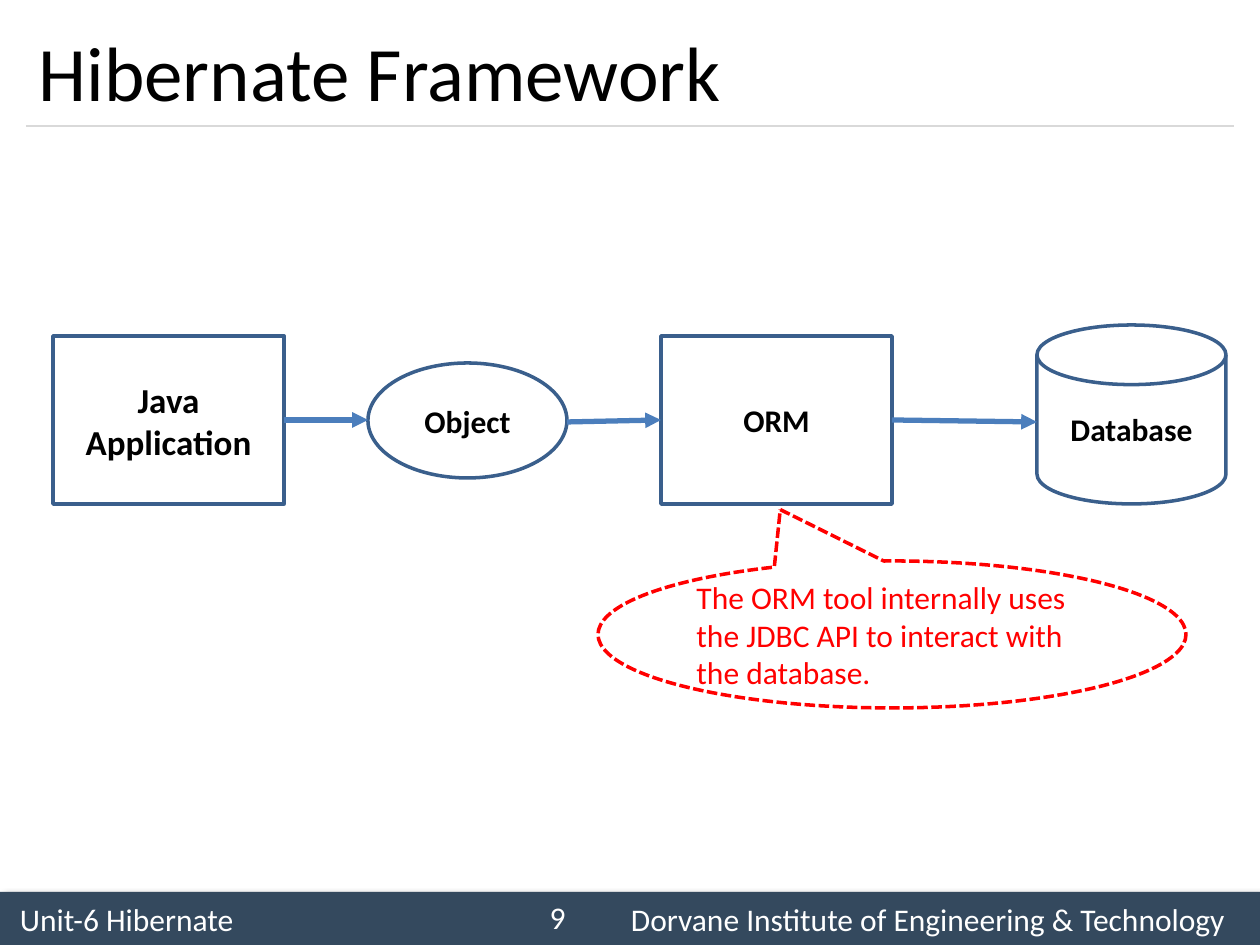
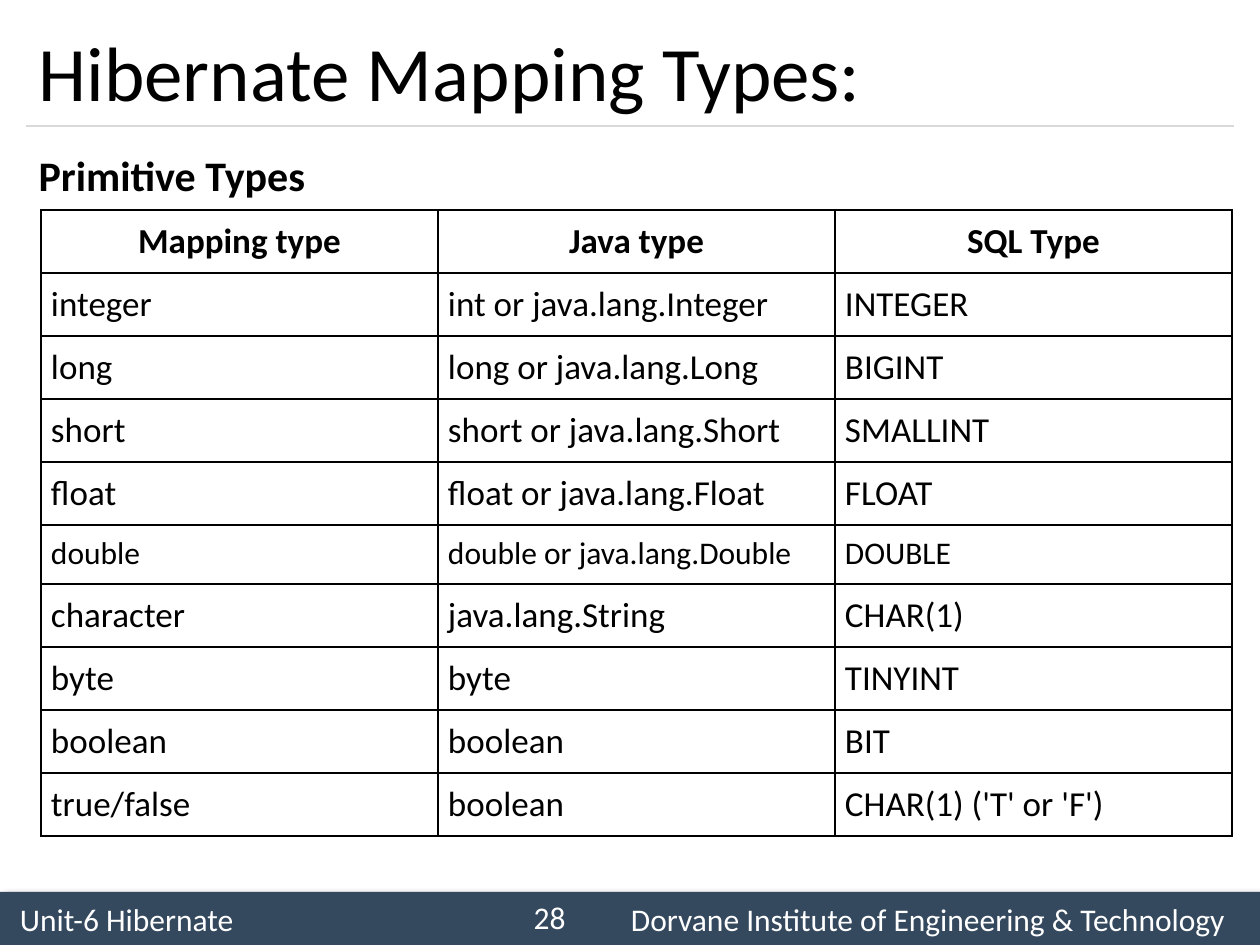
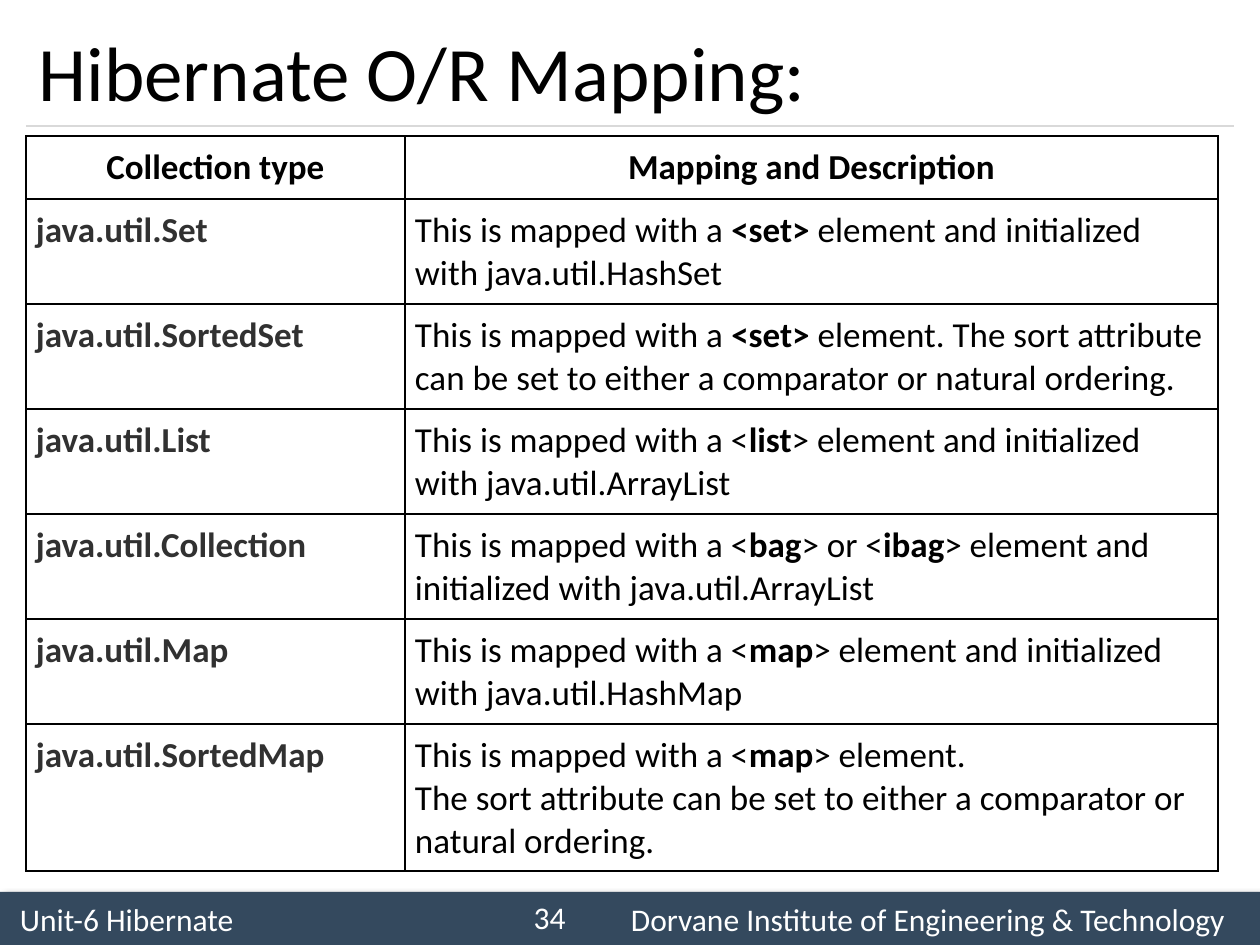
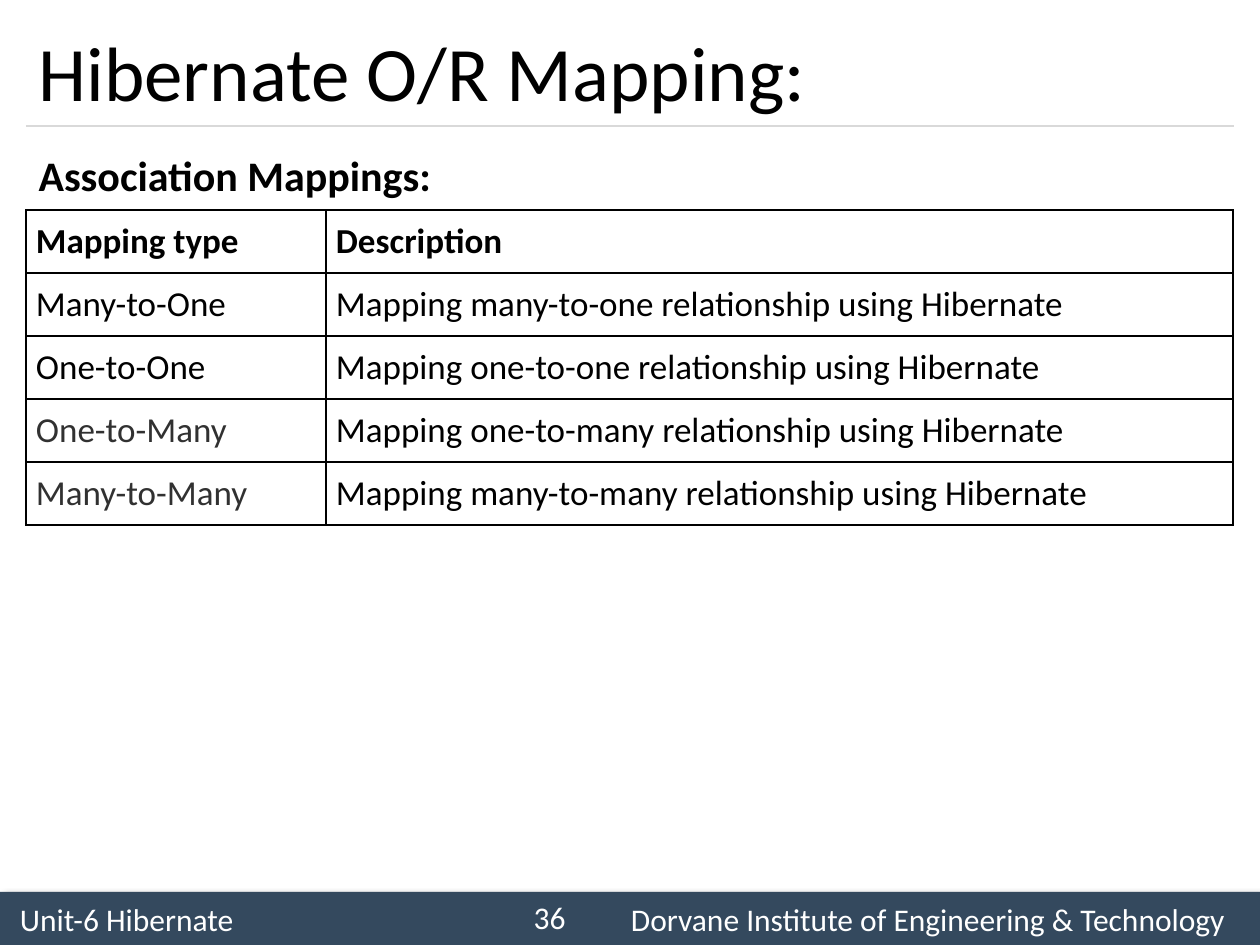
from lxml import etree
from pptx import Presentation
from pptx.dml.color import RGBColor
from pptx.enum.dml import MSO_LINE
from pptx.enum.shapes import MSO_CONNECTOR, MSO_SHAPE
from pptx.enum.text import MSO_ANCHOR, MSO_AUTO_SIZE, PP_ALIGN
from pptx.oxml.ns import qn
from pptx.util import Emu, Pt

LEFT, CENTER, RIGHT, JUSTIFY = (
    PP_ALIGN.LEFT, PP_ALIGN.CENTER, PP_ALIGN.RIGHT, PP_ALIGN.JUSTIFY)
MIDDLE, TOP = MSO_ANCHOR.MIDDLE, MSO_ANCHOR.TOP
NO_AUTOSIZE = MSO_AUTO_SIZE.NONE
STRAIGHT = MSO_CONNECTOR.STRAIGHT
DASHED = MSO_LINE.SQUARE_DOT
RECTANGLE = MSO_SHAPE.RECTANGLE
ELLIPSE = MSO_SHAPE.FLOWCHART_CONNECTOR
DISK = MSO_SHAPE.FLOWCHART_MAGNETIC_DISK
CALLOUT = MSO_SHAPE.OVAL_CALLOUT
TITLE_AND_BODY, TITLE_ONLY = 1, 5

PIXELS_PER_INCH = 126
FONT = "Calibri"
BLACK, WHITE, RED = "000000", "FFFFFF", "FF0000"
DARK_GRAY, RULE_GRAY, BAND = "313131", "D9D9D9", "34495E"
OUTLINE, ARROW = "3A5F8C", "4B7EBC"
UNIT, INSTITUTE = "Unit-6 Hibernate", "Dorvane Institute of Engineering & Technology"
CELL_INSET = 10
LINE_HEIGHT = {20: 42, 18: 38}


def px(length):
    """Turn picture pixels into EMU."""
    return Emu(round(length * 914400 / PIXELS_PER_INCH))


def color(value):
    """Turn a hex string into a colour."""
    return RGBColor.from_string(value)


def add_xml(parent, tag, **attributes):
    """Append a drawing element and return it."""
    return etree.SubElement(parent, qn(tag), attributes)


class Slides:
    """Holds the deck, its style and the current page."""

    def __init__(self):
        """Open an empty deck of the right size."""
        self.deck = Presentation()
        self.deck.slide_width, self.deck.slide_height = px(1260), px(945)
        self.page = None

    def start(self, title, number, layout=TITLE_ONLY):
        """Add a page with the footer band, rule, title and page number."""
        self.page = self.deck.slides.add_slide(self.deck.slide_layouts[layout])
        self.footer()
        self.line(26, 126, 1234, 126, RULE_GRAY, 0.75)
        self.placeholder(self.page.shapes.title, (26, 15, 1208, 111), title, 44)
        box = self.page.shapes.add_textbox(*map(px, (494, 892, 84, 50)))
        self.set_text(box.text_frame, str(number), 18, WHITE, align=RIGHT)

    def set_text(self, frame, text, size, ink=BLACK, bold=None, align=LEFT,
                 anchor=MIDDLE):
        """Fill a frame with one paragraph; ** marks enclose bold words."""
        frame.word_wrap = True
        frame.vertical_anchor = anchor
        para = frame.paragraphs[0]
        para.alignment = align
        font = para.font
        font.name, font.size, font.bold = FONT, Pt(size), bold
        font.color.rgb = color(ink)
        for index, part in enumerate(text.split("**")):
            span = para.add_run()
            span.text = part
            if index % 2:
                span.font.bold = True
        return para

    def placeholder(self, holder, area, text, size, **style):
        """Move a placeholder and fill in its text."""
        holder.left, holder.top, holder.width, holder.height = map(px, area)
        holder.text_frame.auto_size = NO_AUTOSIZE
        return self.set_text(holder.text_frame, text, size, **style)

    def heading(self, text):
        """Set the bold body heading without a bullet."""
        para = self.placeholder(self.page.placeholders[1], (26, 136, 1208, 735),
                                text, 24, bold=True, align=JUSTIFY, anchor=TOP)
        para.line_spacing, para.space_before = 1.14, Pt(4.8)
        properties = para._p.get_or_add_pPr()
        properties.set("marL", "0")
        properties.set("indent", "0")
        bullet = etree.Element(qn("a:buNone"))
        properties.find(qn("a:defRPr")).addprevious(bullet)

    def footer(self):
        """Draw the shadowed band with the unit and the institute."""
        band = self.page.shapes.add_shape(
            RECTANGLE, *map(px, (0, 892, 1260, 53)))
        band.fill.solid()
        band.fill.fore_color.rgb = color(BAND)
        band.line.fill.background()
        band.shadow.inherit = False
        shadow = add_xml(band._element.spPr.find(qn("a:effectLst")),
                         "a:outerShdw", blurRad=str(Pt(4)), dist=str(Pt(3)),
                         dir="2700000", algn="tl", rotWithShape="0")
        shade = add_xml(shadow, "a:srgbClr", val=BLACK)
        add_xml(shade, "a:alpha", val="40000")
        frame = band.text_frame
        frame.margin_left, frame.margin_right = px(20), 0
        para = self.set_text(frame, f"{UNIT}\t{INSTITUTE}", 18, WHITE)
        tabs = etree.Element(qn("a:tabLst"))
        add_xml(tabs, "a:tab", pos=str(px(611)), algn="l")
        para._p.pPr.find(qn("a:defRPr")).addprevious(tabs)

    def line(self, x1, y1, x2, y2, ink, width, arrow=False):
        """Draw a straight line, with an arrowhead at its end if asked."""
        line = self.page.shapes.add_connector(
            STRAIGHT, *map(px, (x1, y1, x2, y2)))
        line.line.color.rgb = color(ink)
        line.line.width = Pt(width)
        if arrow:
            add_xml(line._element.spPr.find(qn("a:ln")), "a:tailEnd",
                    type="triangle")
        add_xml(line._element.spPr, "a:effectLst")

    def outline(self, kind, area, text, size=18, ink=BLACK, edge=OUTLINE,
                bold=True, align=CENTER):
        """Draw an unfilled shape with text and return it."""
        shape = self.page.shapes.add_shape(kind, *map(px, area))
        shape.fill.background()
        shape.line.color.rgb = color(edge)
        shape.line.width = Pt(2)
        shape.shadow.inherit = False
        self.set_text(shape.text_frame, text, size, ink, bold, align)
        return shape

    def callout(self, area, text, tip):
        """Draw a dashed red callout with its tip at the given ratios."""
        shape = self.outline(CALLOUT, area, text, ink=RED, edge=RED,
                             bold=None, align=LEFT)
        shape.line.dash_style = DASHED
        shape.adjustments[0], shape.adjustments[1] = tip

    def strip(self, left, top, widths, texts, size=20, lines=1, bold=None,
              align=LEFT, first_ink=BLACK, first_bold=None):
        """Draw a one-row table and return the top of the next one."""
        height = 2 * CELL_INSET + 1 + lines * LINE_HEIGHT[size]
        table = self.page.shapes.add_table(
            1, len(widths), px(left), px(top), px(sum(widths)), px(height)).table
        table.first_row = table.horz_banding = False
        for index, (width, text) in enumerate(zip(widths, texts)):
            table.columns[index].width = px(width)
            first = index == 0
            self.cell(table.cell(0, index), text, size,
                      first_ink if first else BLACK,
                      first_bold if first and first_bold else bold, align)
        return top + height

    def cell(self, cell, text, size, ink, bold, align):
        """Border, pad and fill in one table cell."""
        cell.margin_left = cell.margin_right = px(CELL_INSET)
        cell.margin_top = cell.margin_bottom = px(CELL_INSET)
        properties = cell._tc.get_or_add_tcPr()
        for side in "LRTB":
            border = add_xml(properties, f"a:ln{side}", w=str(Pt(1)))
            fill = add_xml(border, "a:solidFill")
            add_xml(fill, "a:srgbClr", val=BLACK)
        cell.fill.background()
        self.set_text(cell.text_frame, text, size, ink, bold, align, TOP)


def framework(slides):
    """Show the path from application to database."""
    slides.start("Hibernate Framework", 9)
    slides.outline(RECTANGLE, (53, 336, 231, 168), "Java Application", 20)
    slides.outline(RECTANGLE, (661, 336, 231, 168), "ORM")
    slides.outline(DISK, (1037, 325, 189, 179), "Database")
    slides.outline(ELLIPSE, (368, 363, 199, 115), "Object")
    for ends in ((284, 420, 368, 420), (567, 422, 661, 420),
                 (892, 420, 1037, 422)):
        slides.line(*ends, ARROW, 3, arrow=True)
    slides.callout((598, 561, 588, 147), "The ORM tool internally uses the JDBC "
                   "API to interact with the database.", (-0.19, -0.85))


def mapping_types(slides):
    """List the primitive mapping types."""
    slides.start("Hibernate Mapping Types:", 28, TITLE_AND_BODY)
    slides.heading("Primitive Types")
    left, widths = 41, [397] * 3
    top = slides.strip(left, 210, widths, ("Mapping type", "Java type", "SQL Type"),
                       bold=True, align=CENTER)
    for texts in (
            ("integer", "int or java.lang.Integer", "INTEGER"),
            ("long", "long or java.lang.Long", "BIGINT"),
            ("short", "short or java.lang.Short", "SMALLINT"),
            ("float", "float or java.lang.Float", "FLOAT"),
            ("double", "double or java.lang.Double", "DOUBLE"),
            ("character", "java.lang.String", "CHAR(1)"),
            ("byte", "byte", "TINYINT"),
            ("boolean", "boolean", "BIT"),
            ("true/false", "boolean", "CHAR(1) ('T' or 'F')")):
        size = 18 if texts[0] == "double" else 20
        top = slides.strip(left, top, widths, texts, size)


def collections_mapping(slides):
    """List how the collection types are mapped."""
    slides.start("Hibernate O/R Mapping:", 34)
    left, widths = 26, (379, 813)
    top = slides.strip(left, 136, widths,
                       ("Collection type", "Mapping and Description"),
                       bold=True, align=CENTER)
    ordering = ("element. The\u00a0sort\u00a0attribute can be set to either "
                "a comparator or natural ordering.")
    started = "element and initialized with java.util."
    for name, description, lines in (
            ("Set", f"**<set> **{started}HashSet", 2),
            ("SortedSet", f"**<set> **{ordering}", 2),
            ("List", f"<**list**> {started}ArrayList", 2),
            ("Collection", f"<**bag**> or <**ibag**> {started}ArrayList", 2),
            ("Map", f"<**map**> {started}HashMap", 2),
            ("SortedMap", f"<**map**> {ordering}", 3)):
        texts = (f"java.util.{name}", f"This is mapped with a {description}")
        top = slides.strip(left, top, widths, texts, lines=lines,
                           first_ink=DARK_GRAY, first_bold=True)


def association_mapping(slides):
    """List the association mappings."""
    slides.start("Hibernate O/R Mapping:", 36, TITLE_AND_BODY)
    slides.heading("Association Mappings:")
    left, widths = 26, (300, 907)
    top = slides.strip(left, 210, widths, ("Mapping type", "Description"), bold=True)
    for name, ink in (("Many-to-One", BLACK), ("One-to-One", BLACK),
                      ("One-to-Many", DARK_GRAY), ("Many-to-Many", DARK_GRAY)):
        description = f"Mapping {name.lower()} relationship using Hibernate"
        top = slides.strip(left, top, widths, (name, description), first_ink=ink)


def main():
    """Build and save the deck."""
    slides = Slides()
    for build in (framework, mapping_types, collections_mapping,
                  association_mapping):
        build(slides)
    slides.deck.save("out.pptx")


main()
